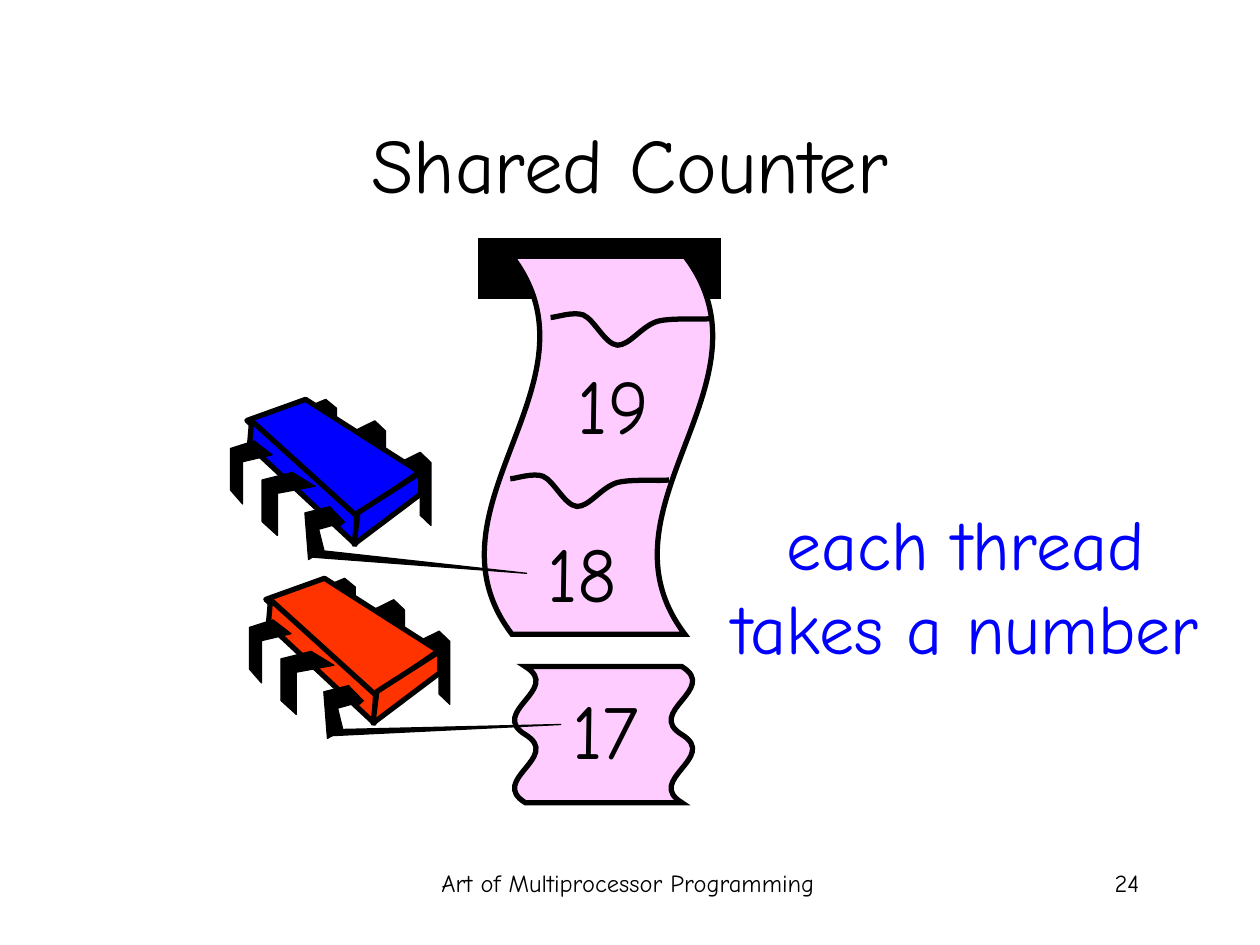
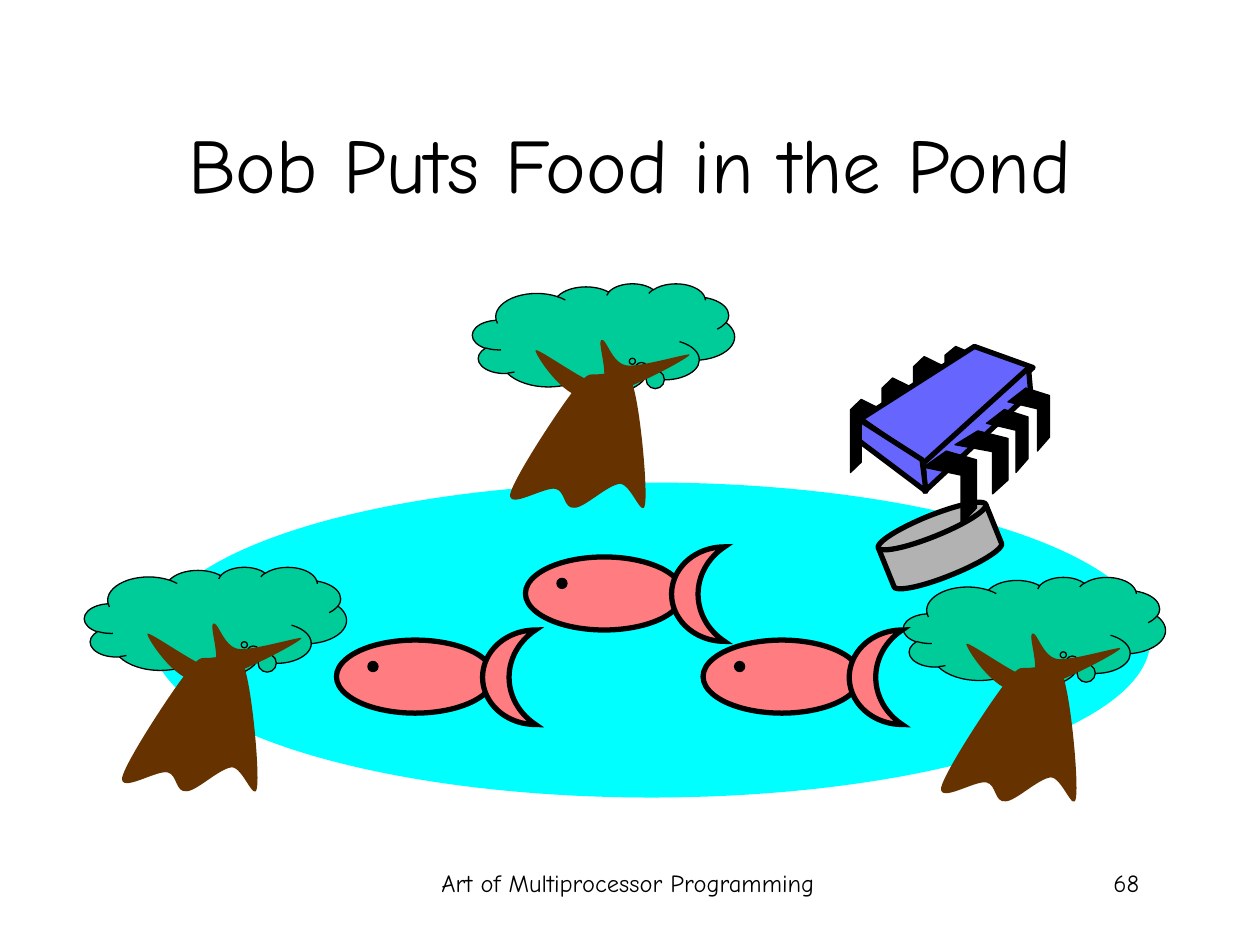
"""Two lecture slides: a shared ticket counter and a fish pond."""
from lxml.etree import SubElement
from pptx import Presentation
from pptx.dml.color import RGBColor
from pptx.enum.shapes import MSO_SHAPE as SHAPE
from pptx.enum.text import MSO_ANCHOR as ANCHOR, PP_ALIGN as ALIGN
from pptx.oxml.ns import qn
from pptx.util import Inches, Pt

FONT = "Comic Neue"
FOOTER = "Art of Multiprocessor Programming"
BLACK, BLUE, RED, BOB_BLUE = "000000", "0000FF", "FF3300", "6666FF"
PAPER, WATER, LEAF, BARK = "FFCCFF", "00FFFF", "00CC99", "663300"
FISH, STEEL = "FF7C80", "B2B2B2"
THIN, THICK = 0.75, 3

COUNTER = {
    "title": "Shared Counter",
    "number": "24",
    "note": "each thread takes a number",
    "tickets": [("17", 4.32, 5.37), ("18", 4.15, 4.12), ("19", 4.4, 2.79)],
    "tears": [(4.37, 2.47), (4.05, 3.75)],
    "threads": [(1.96, 3.17, BLUE, (4.18, 4.55)),
                (2.11, 4.59, RED, (4.45, 5.75))],
}
POND = {
    "title": "Bob Puts Food in the Pond",
    "number": "68",
    "trees": [(7.17, 4.58), (0.67, 4.5), (3.75, 2.25)],
    "fish": [(2.67, 5.08), (4.17, 4.42), (5.58, 5.08)],
    "bob": (6.83, 2.75),
}

BACK_PIN = [(0, .14), (.66, 0), (1, .14), (1, 1), (.66, .86), (.66, .29), (0, .43)]
FRONT_PIN = [(.57, 0), (1, .22), (.29, .33), (.29, 1), (0, .78), (0, .12)]
HAND = [(.63, 0), (0, .12), (.09, 1), (.47, .83), (.34, .43), (1, .29)]
CHIP_WIDTH = 1.37
CHIP_FACES = [
    ([(.34, 0), (1, .62), (.63, 1), (0, .18)], (0, 0, CHIP_WIDTH, .93)),
    ([(.02, 0), (1, .77), (.99, 1), (0, .2)], (.02, .17, .85, .98)),
    ([(1, 0), (1, .3), (0, 1), (.06, .56)], (.85, .58, .53, .57)),
]
THREAD_PINS = {
    "back": [(1.21, .42, .25, .58), (.85, .17, .25, .58), (.46, 0, .25, .5)],
    "front": [(.12, .58, .42, .5), (-.13, .33, .33, .5)],
}
BOB_PINS = {
    "back": [(1.2, .42, .25, .58), (.95, .25, .25, .58),
             (.7, .08, .25, .58), (.45, 0, .25, .5)],
    "front": [(.45, .83, .42, .58), (.2, .67, .42, .5),
              (.04, .5, .33, .5), (-.13, .33, .33, .5)],
}

TEAR = [(0, .05), (.04, .05), (.18, 0), (.26, .03), (.35, .07), (.43, .26), (.53, .27),
        (.63, .27), (.72, .12), (.85, .08), (.97, .05), (1.18, .07), (1.26, .06)]
TRUNK = [(.81, .84), (.93, .68), (.94, .73), (1.01, .72), (1.09, .72), (1.21, .63),
         (1.27, .8), (1.33, .97), (1.39, 1.61), (1.37, 1.75), (1.35, 1.88), (1.26, 1.59),
         (1.17, 1.59), (1.07, 1.6), (.89, 1.78), (.81, 1.78), (.72, 1.79), (.74, 1.65),
         (.66, 1.63), (.57, 1.61), (.28, 1.8), (.3, 1.67), (.33, 1.54), (.69, .99),
         (.81, .84)]
BRANCHES = [(.5, .53), (.49, .55), (.71, .91), (.91, .91), (1.11, .92), (1.67, .62),
            (1.72, .57), (1.78, .53), (1.33, .67), (1.22, .65), (1.1, .63), (1.06, .42),
            (1.02, .45), (.99, .47), (1.1, .78), (1.01, .8), (.93, .81), (.52, .51),
            (.5, .53)]


def rgb(color):
    return RGBColor.from_string(color)


def paint(sp, fill=None, width=None):
    sp.shadow.inherit = False
    if fill:
        sp.fill.solid()
        sp.fill.fore_color.rgb = rgb(fill)
    else:
        sp.fill.background()
    if width:
        sp.line.color.rgb = rgb(BLACK)
        sp.line.width = Pt(width)
    else:
        sp.line.fill.background()
    return sp


def line_detail(sp, tag, **attributes):
    SubElement(sp._element.spPr.find(qn("a:ln")), qn(tag), **attributes)


def preset(s, kind, box, fill, width=None, turn=0):
    sp = paint(s.shapes.add_shape(kind, *map(Inches, box)), fill, width)
    sp.rotation = turn
    if width:
        line_detail(sp, "a:miter", lim="800000")
    return sp


def outline(s, points, box, fill=None, width=None, closed=True):
    x, y, w, h = box
    pts = [(Inches(x + px * w), Inches(y + py * h)) for px, py in points]
    builder = s.shapes.build_freeform(*pts[0])
    builder.add_line_segments(pts[1:], close=closed)
    return paint(builder.convert_to_shape(), fill, width)


def curve(s, points, x, y, **look):
    """Draw a chain of cubic curves, three points to each."""
    sp = outline(s, points, (x, y, 1, 1), **look)
    segments = list(sp._element.iter(qn("a:lnTo")))[:len(points) - 1]
    for first, second, third in zip(*[iter(segments)] * 3):
        first.tag = qn("a:cubicBezTo")
        for extra in (second, third):
            first.append(extra[0])
            extra.getparent().remove(extra)


def style(tf, text, size, align, color=BLACK):
    tf.text = text
    tf.word_wrap = True
    p = tf.paragraphs[0]
    p.alignment = align
    font = p.runs[0].font
    font.name, font.size, font.color.rgb = FONT, Pt(size), rgb(color)


def label(s, box, *text):
    style(s.shapes.add_textbox(*map(Inches, box)).text_frame, *text)


def new_slide(prs, content):
    s = prs.slides.add_slide(prs.slide_layouts[5])
    title = s.shapes.title
    title.left, title.top, title.width, title.height = map(Inches, (.75, .67, 8.5, 1.25))
    title.text_frame.vertical_anchor = ANCHOR.MIDDLE
    style(title.text_frame, content["title"], 44, ALIGN.CENTER)
    label(s, (3.4, 6.84, 3.17, .5), FOOTER, 14, ALIGN.CENTER)
    label(s, (7.06, 6.84, 2.08, .5), content["number"], 14, ALIGN.RIGHT)
    return s


def chip(s, x, y, color, pins, flip=False):
    group = s.shapes.add_group_shape()

    def part(points, box, fill, width):
        dx, dy, w, h = box
        if flip:
            dx = CHIP_WIDTH - dx - w
            points = [(1 - px, py) for px, py in points]
        outline(group, points, (x + dx, y + dy, w, h), fill, width)

    for box in pins["back"]:
        part(BACK_PIN, box, BLACK, THIN)
    for points, box in CHIP_FACES:
        part(points, box, color, THICK)
    for box in pins["front"]:
        part(FRONT_PIN, box, BLACK, THIN)
    return group


def thread(s, x, y, color, tip):
    group = chip(s, x, y, color, THREAD_PINS)
    arm = [(x + .49, y + 1.25), tip, (x + .59, y + 1.2)]
    outline(group, arm, (0, 0, 1, 1), BLACK, THIN, closed=False)
    hand = outline(group, HAND, (x + .46, y + .85, .32, .42), BLACK, THIN, closed=False)
    line_detail(hand, "a:tailEnd", type="triangle")


def tree(s, x, y):
    group = s.shapes.add_group_shape()
    cloud = preset(group, SHAPE.CLOUD_CALLOUT, (x, y, 2.08, .87), LEAF, THIN)
    cloud.adjustments[0], cloud.adjustments[1] = .11, .21
    for wood in (TRUNK, BRANCHES):
        curve(group, wood, x, y, fill=BARK)


def fish(s, x, y):
    group = s.shapes.add_group_shape()
    preset(group, SHAPE.OVAL, (x, y, 1.25, .58), FISH, THICK)
    preset(group, SHAPE.MOON, (x + 1.16, y - .08, .42, .75), FISH, THICK)
    preset(group, SHAPE.OVAL, (x + .25, y + .17, .08, .08), BLACK, THIN)


def counter_slide(prs):
    s = new_slide(prs, COUNTER)
    preset(s, SHAPE.RECTANGLE, (3.8, 1.89, 1.92, .48), BLACK, THIN)
    preset(s, SHAPE.WAVE, (3.25, 2.62, 3, 1.83), PAPER, THICK, 90)
    preset(s, SHAPE.DOUBLE_WAVE, (4.25, 5.12, 1.08, 1.42), PAPER, THICK, 90)
    for number, x, y in COUNTER["tickets"]:
        label(s, (x, y, .85, .83), number, 44, ALIGN.RIGHT)
    for spot in COUNTER["tears"]:
        curve(s, TEAR, *spot, width=THICK, closed=False)
    label(s, (5.5, 3.92, 4.33, 1.43), COUNTER["note"], 40, ALIGN.CENTER, BLUE)
    for spot in COUNTER["threads"]:
        thread(s, *spot)


def pond_slide(prs):
    s = new_slide(prs, POND)
    preset(s, SHAPE.OVAL, (1.21, 3.83, 7.92, 2.5), WATER)
    for spot in POND["trees"]:
        tree(s, *spot)
    for spot in POND["fish"]:
        fish(s, *spot)
    preset(s, SHAPE.FLOWCHART_MAGNETIC_DISK, (7, 4.08, .92, .5), STEEL, THICK, 338)
    chip(s, *POND["bob"], BOB_BLUE, BOB_PINS, flip=True)


def main():
    prs = Presentation()
    prs.slide_width, prs.slide_height = Inches(10), Inches(7.5)
    counter_slide(prs)
    pond_slide(prs)
    prs.save("out.pptx")


if __name__ == "__main__":
    main()
